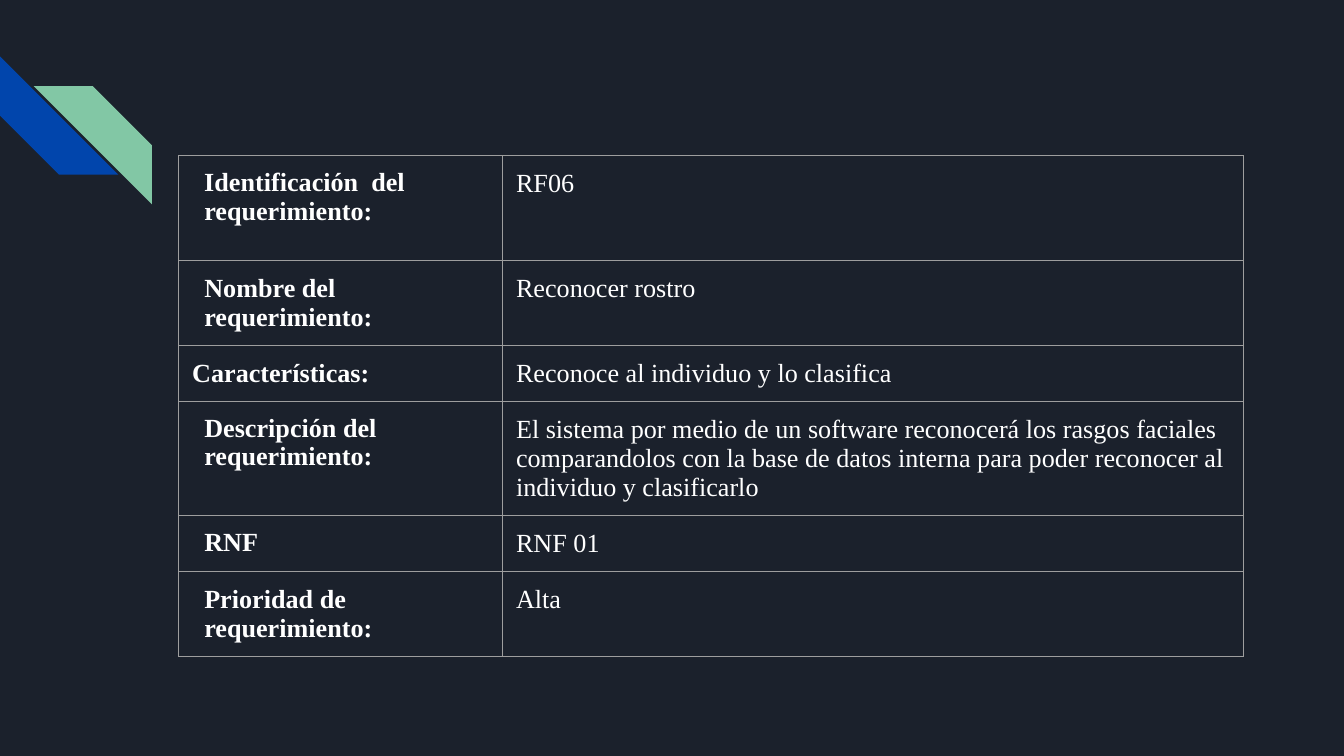
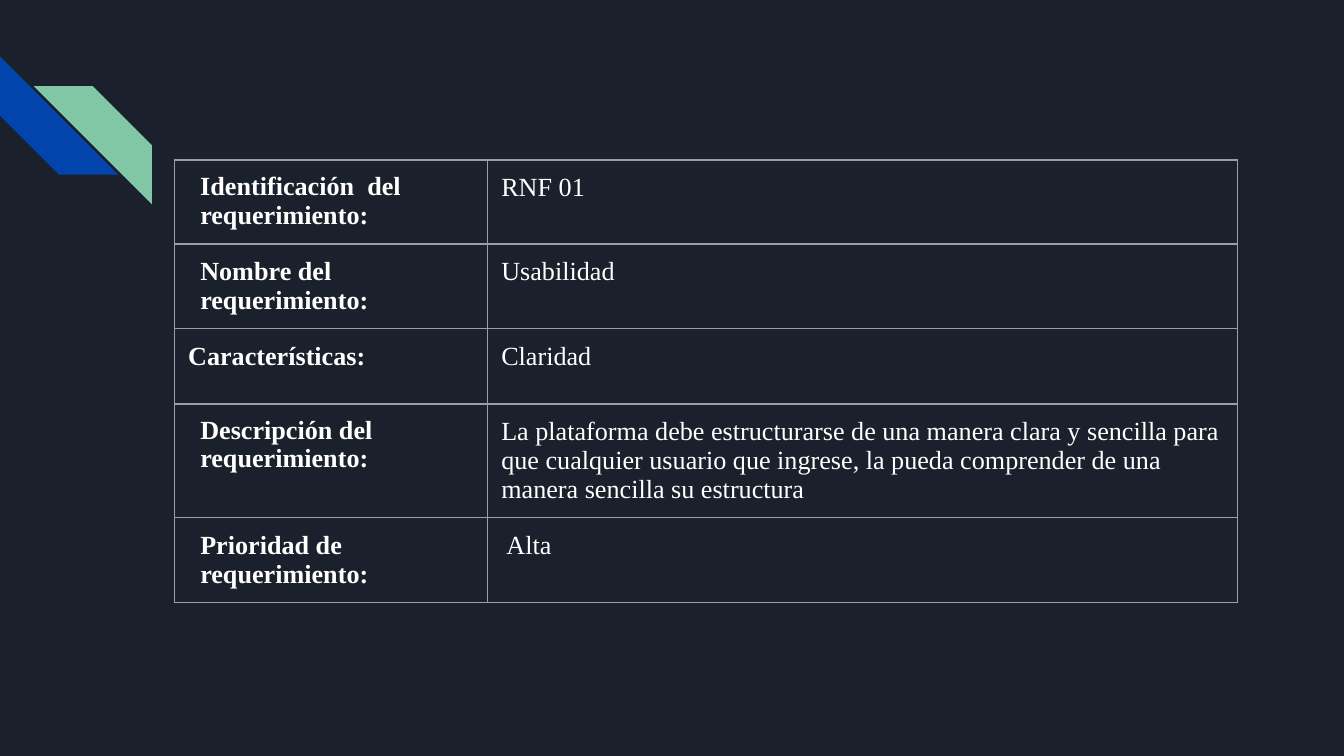
from pptx import Presentation
from pptx.dml.color import RGBColor
from pptx.enum.shapes import MSO_SHAPE as SHAPE
from pptx.oxml import parse_xml
from pptx.oxml.ns import nsdecls
from pptx.util import Inches, Pt

BACKGROUND = RGBColor(0x1B, 0x21, 0x2C)
BLUE = RGBColor(0x01, 0x45, 0xAC)
GREEN = RGBColor(0x82, 0xC7, 0xA5)
WHITE = RGBColor(0xFF, 0xFF, 0xFF)
BORDER = RGBColor(0x9E, 0x9E, 0x9E)
FONT = "Times New Roman"
STRIPE = 0.88

# Each label paragraph: text, left margin, first-line indent, line spacing, space before
IDENTIFICATION = [("Identificación  del", 0.08, 0.01, 0.96, None),
                  ("requerimiento:", 0.09, 0, None, 0.3)]
NAME = [("Nombre del", 0.09, 0, None, None),
        ("requerimiento:", 0.09, 0, None, None)]
FEATURES = [("Características:", 0, 0, None, None)]
DESCRIPTION = [("Descripción del requerimiento:", 0.09, 0, 0.96, None)]
RNF = [("RNF", 0.09, 0, 0.96, None)]
PRIORITY = [("Prioridad de", 0.09, 0, None, None),
            ("requerimiento:", 0.09, 0, None, None)]

# Each row: label, value, height
FACE_ROWS = [
    (IDENTIFICATION, "RF06", 0.78),
    (NAME, "Reconocer rostro", 0.42),
    (FEATURES, "Reconoce al individuo y lo clasifica", 0.42),
    (DESCRIPTION, "El sistema por medio de un software reconocerá los rasgos "
     "faciales comparandolos con la base de datos interna para poder reconocer "
     "al individuo y clasificarlo", 0.42),
    (RNF, "RNF 01", 0.42),
    (PRIORITY, "Alta", 0.42),
]
USABILITY_ROWS = [
    (IDENTIFICATION, "RNF 01", 0.51),
    (NAME, "Usabilidad", 0.53),
    (FEATURES, "Claridad", 0.56),
    (DESCRIPTION, "La plataforma debe estructurarse de una manera clara y sencilla "
     "para que cualquier usuario que ingrese, la pueda comprender de una manera "
     "sencilla su estructura", 0.64),
    (PRIORITY, " Alta", 0.42),
]


def add_stripe(slide, left, top, color):
    sp = slide.shapes.add_shape(SHAPE.DIAGONAL_STRIPE, Inches(left), Inches(top),
                                Inches(STRIPE), Inches(STRIPE))
    sp.adjustments[0] = 0.5
    sp.shadow.inherit = False
    sp.fill.solid()
    sp.fill.fore_color.rgb = color
    sp.line.fill.background()
    return sp


def add_corner_mark(slide, left, top):
    add_stripe(slide, left, top, BLUE).rotation = 270
    green = add_stripe(slide, left + 0.25, top + 0.22, GREEN)
    green._element.spPr.xfrm.set("flipH", "1")


def add_base_slide(prs):
    slide = prs.slides.add_slide(prs.slide_layouts[6])
    fill = slide.background.fill
    fill.solid()
    fill.fore_color.rgb = BACKGROUND
    add_corner_mark(slide, 0, 0.42)
    return slide


def format_cell(cell):
    """Clear the fill, set the margins and outline all four sides."""
    cell.fill.background()
    cell.margin_left = cell.margin_right = Inches(0.1)
    cell.margin_top = cell.margin_bottom = Inches(0.1)
    tcPr = cell._tc.get_or_add_tcPr()
    for i, side in enumerate("LRTB"):
        tcPr.insert(i, parse_xml(
            f'<a:ln{side} {nsdecls("a")} w="{Pt(0.75)}"><a:solidFill>'
            f'<a:srgbClr val="{BORDER}"/></a:solidFill></a:ln{side}>'))


def format_runs(p, bold):
    for r in p.runs:
        r.font.name = FONT
        r.font.size = Pt(14)
        r.font.bold = bold
        r.font.color.rgb = WHITE


def fill_label(cell, label):
    tf = cell.text_frame
    tf.text = "\n".join(line[0] for line in label)
    for p, (_, margin, indent, spacing, before) in zip(tf.paragraphs, label):
        pPr = p._p.get_or_add_pPr()
        pPr.set("marL", str(Inches(margin)))
        pPr.set("indent", str(Inches(indent)))
        if spacing:
            p.line_spacing = spacing
        if before:
            p.space_before = Pt(before)
        format_runs(p, True)


def fill_value(cell, text):
    cell.text_frame.text = text
    format_runs(cell.text_frame.paragraphs[0], False)


def add_requirement_table(slide, left, top, widths, rows):
    height = sum(row[2] for row in rows)
    table = slide.shapes.add_table(len(rows), 2, Inches(left), Inches(top),
                                   Inches(sum(widths)), Inches(height)).table
    table.first_row = table.horz_banding = False
    for column, width in zip(table.columns, widths):
        column.width = Inches(width)
    for i, (label, value, row_height) in enumerate(rows):
        table.rows[i].height = Inches(row_height)
        fill_label(table.cell(i, 0), label)
        fill_value(table.cell(i, 1), value)
        for cell in table.rows[i].cells:
            format_cell(cell)


def main():
    prs = Presentation()
    prs.slide_width, prs.slide_height = Inches(10), Inches(5.625)
    add_requirement_table(add_base_slide(prs), 1.33, 1.16, (2.41, 5.51), FACE_ROWS)
    add_requirement_table(add_base_slide(prs), 1.3, 1.19, (2.33, 5.58), USABILITY_ROWS)
    prs.save("out.pptx")


if __name__ == "__main__":
    main()
